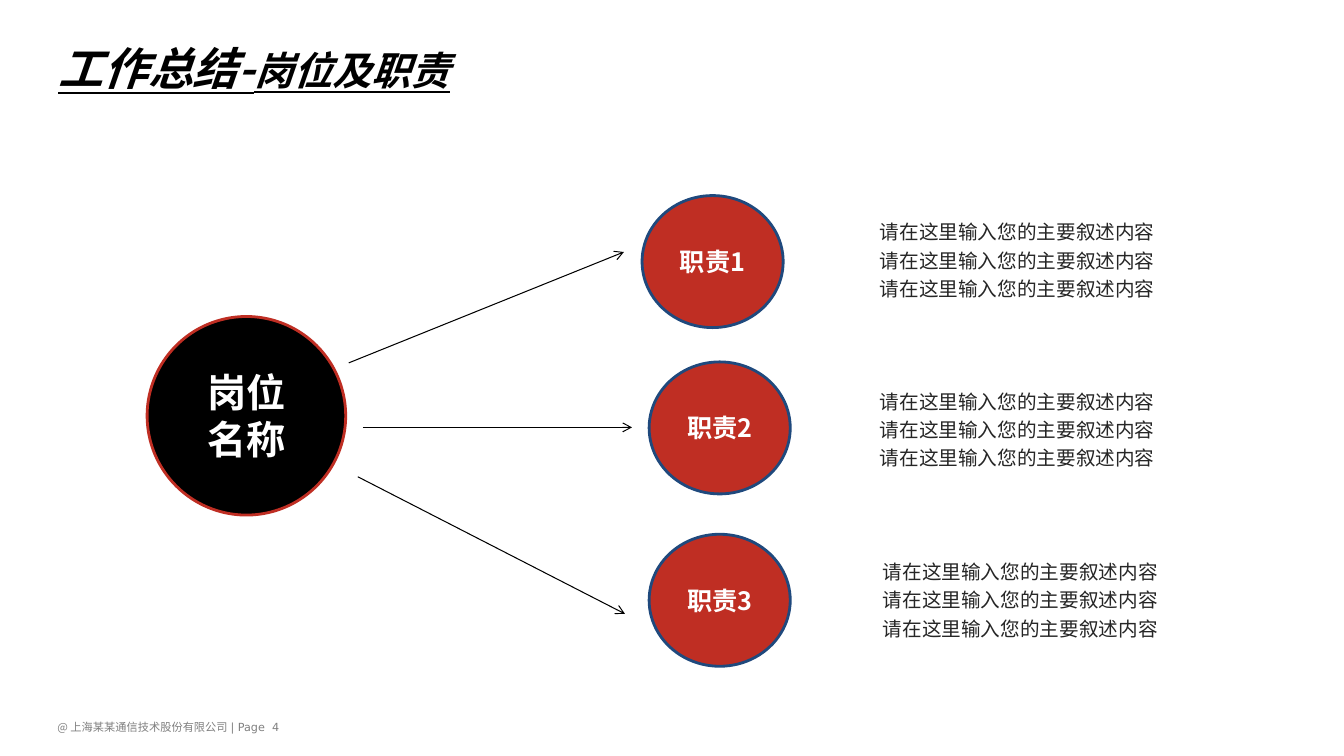
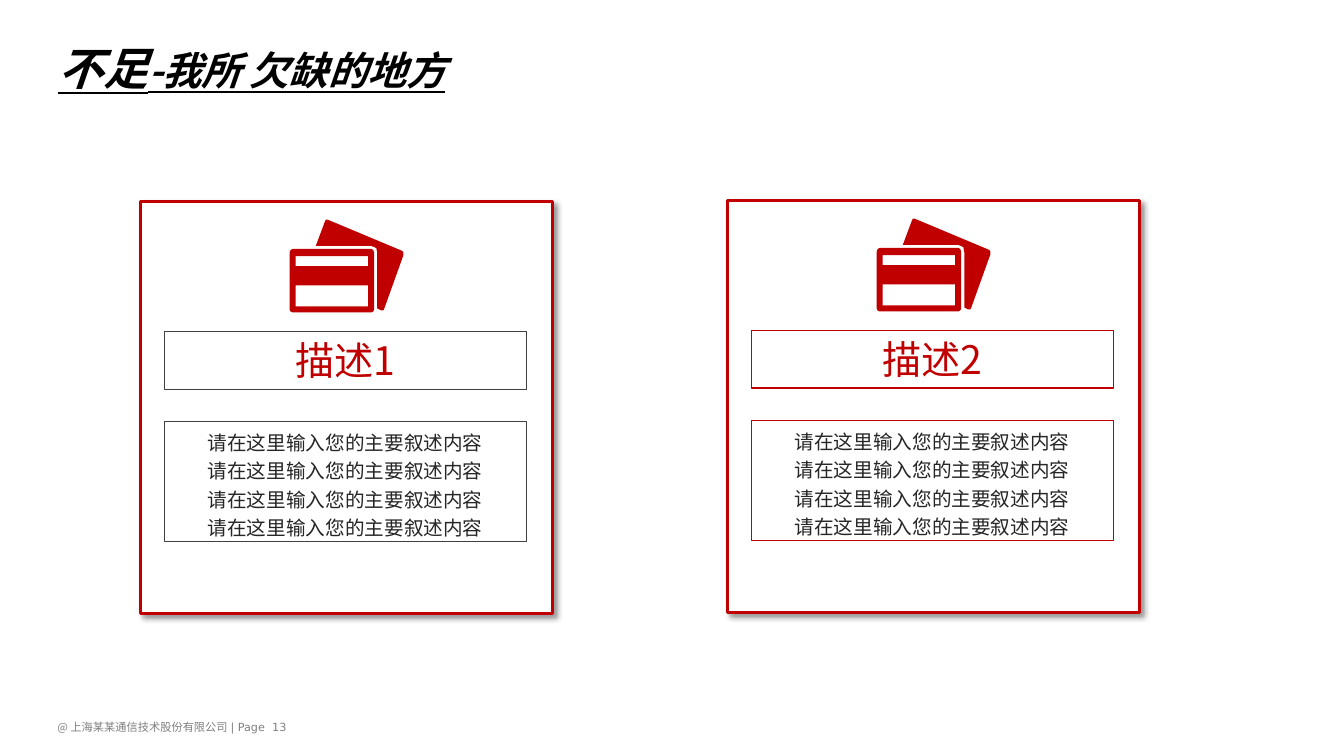
from dataclasses import dataclass

from lxml.etree import SubElement
from pptx import Presentation
from pptx.dml.color import RGBColor as RGB
from pptx.enum.shapes import MSO_AUTO_SHAPE_TYPE as Kind, MSO_CONNECTOR as Link
from pptx.enum.text import MSO_ANCHOR as Anchor, MSO_AUTO_SIZE as Fit, PP_ALIGN as Align
from pptx.oxml.ns import qn
from pptx.util import Inches, Pt


@dataclass(frozen=True)
class Theme:
    cjk: str = "Noto Sans CJK SC"
    latin: str = "DejaVu Sans"
    black: str = "000000"
    white: str = "FFFFFF"
    ink: str = "262626"
    frame: str = "404040"
    gray: str = "808080"
    brick: str = "BF2E23"
    red: str = "C00000"
    navy: str = "1F497D"
    title: int = 32
    heading: int = 28
    label: int = 18
    body: int = 14
    footer: int = 8
    thick: float = 2
    thin: float = 0.75


T = Theme()
CELL = Inches(1) // 6
COLS, ROWS = 80, 45
COMPANY = "@ 上海某某通信技术股份有限公司 "
DETAIL = "请在这里输入您的主要叙述内容"

CARD_ICON = [
    [(6, 65), (6, 86), (78, 86), (78, 65)],
    [(6, 36), (6, 46), (78, 46), (78, 36)],
    [(3, 29), (81, 29), (83, 30), (84, 33), (84, 89), (83, 91),
     (81, 92), (3, 92), (1, 91), (0, 89), (0, 33), (1, 30)],
    [(38, 0), (112, 31), (113, 33), (113, 35), (94, 88), (93, 90), (91, 90),
     (87, 88), (87, 33), (86, 28), (81, 26), (26, 26), (35, 2), (36, 0)],
]


def grid(*cells):
    return [round(c * CELL) for c in cells]


def run(text, size, color, font=T.cjk, **fmt):
    return text, color, dict(size=Pt(size), name=font, **fmt)


class Deck:
    def __init__(self):
        self.prs = Presentation()
        self.prs.slide_width, self.prs.slide_height = grid(COLS, ROWS)
        self.s = None

    def slide(self, page, *title):
        self.s = self.prs.slides.add_slide(self.prs.slide_layouts[6])
        self.text((2.82, 42.6, 33.1, 3.66), [[
            run(COMPANY, T.footer, T.gray),
            run("| Page", T.footer, T.gray, T.latin)]])
        self.text((15.42, 42.48, 4.86, 2.4),
                  [[run(str(page), T.footer, T.gray, T.latin)]], inset=(0.13, 0.07))
        style = dict(bold=True, italic=True, underline=True)
        self.text((2.76, 3.12, 72.6, 1.86),
                  [[run(t, size, T.black, **style) for t, size in title]],
                  inset=(0.12, 0.06), vertical_anchor=Anchor.MIDDLE)

    def fill_text(self, sp, paras, align=Align.LEFT, spacing=None, inset=(0.1, 0.05), **frame):
        tf = sp.text_frame
        dx, dy = map(Inches, inset)
        frame = dict(dict(word_wrap=True, vertical_anchor=Anchor.TOP), **frame)
        frame.update(margin_left=dx, margin_right=dx, margin_top=dy, margin_bottom=dy)
        for key, value in frame.items():
            setattr(tf, key, value)
        for i, runs in enumerate(paras):
            p = tf.add_paragraph() if i else tf.paragraphs[0]
            p.alignment, p.line_spacing = align, spacing
            for text, color, fmt in runs:
                r = p.add_run()
                r.text = text
                for key, value in fmt.items():
                    setattr(r.font, key, value)
                r.font.color.rgb = RGB.from_string(color)
                SubElement(r._r.get_or_add_rPr(), qn("a:ea"), typeface=fmt["name"])

    def text(self, box, paras, **opts):
        self.fill_text(self.s.shapes.add_textbox(*grid(*box)), paras, **opts)

    def paint(self, sp, fill=None, line=None, width=T.thin):
        sp.shadow.inherit = False
        if fill:
            sp.fill.solid()
            sp.fill.fore_color.rgb = RGB.from_string(fill)
        else:
            sp.fill.background()
        if line:
            sp.line.color.rgb = RGB.from_string(line)
            sp.line.width = Pt(width)
        else:
            sp.line.fill.background()

    def shape(self, kind, box, paras=(), fill=None, line=None, width=T.thin, **opts):
        sp = self.s.shapes.add_shape(kind, *grid(*box))
        self.paint(sp, fill, line, width)
        self.fill_text(sp, paras, Align.CENTER, **opts)
        return sp

    def circle(self, box, lines, size, fill, line):
        self.shape(Kind.FLOWCHART_CONNECTOR, box,
                   [[run(t, size, T.white, bold=True)] for t in lines],
                   fill, line, T.thick, vertical_anchor=Anchor.MIDDLE)

    def arrow(self, start, end):
        cx = self.s.shapes.add_connector(Link.STRAIGHT, *grid(*start, *end))
        cx.line.color.rgb = RGB.from_string(T.black)
        cx.line.width = Pt(T.thin)
        pr = cx._element.spPr
        SubElement(pr.find(qn("a:ln")), qn("a:tailEnd"), type="arrow")
        SubElement(pr, qn("a:effectLst"))

    def drop_shadow(self, sp):
        effects = sp._element.spPr.find(qn("a:effectLst"))
        shadow = SubElement(effects, qn("a:outerShdw"), blurRad=str(Pt(4)), dist=str(Pt(3)),
                            dir=str(45 * 60000), algn="tl", rotWithShape="0")
        color = SubElement(shadow, qn("a:srgbClr"), val=T.black)
        SubElement(color, qn("a:alpha"), val="40000")

    def icon(self, x, y):
        first, *rest = CARD_ICON
        fb = self.s.shapes.build_freeform(*first[0], scale=CELL * 0.06)
        fb.add_line_segments(first[1:])
        for outline in rest:
            fb.move_to(*outline[0])
            fb.add_line_segments(outline[1:])
        self.paint(fb.convert_to_shape(*grid(x, y)), T.red)

    def details(self, count):
        return [[run(DETAIL, T.body, T.ink)]] * count

    def card(self, x, y, title, frame):
        self.drop_shadow(self.shape(Kind.RECTANGLE, (x, y, 24.54, 24.54),
                                    fill=T.white, line=T.red, width=T.thick))
        grow = dict(line=frame, auto_size=Fit.SHAPE_TO_FIT_TEXT)
        self.shape(Kind.RECTANGLE, (x + 1.42, y + 7.74, 21.54, 3.42),
                   [[run(title, T.heading, T.red)]], **grow)
        self.shape(Kind.RECTANGLE, (x + 1.42, y + 13.08, 21.54, 7.14),
                   self.details(4), spacing=1.2, **grow)
        self.icon(x + 8.88, y + 1.08)


def main():
    d = Deck()

    d.slide(4, ("工作总结-", T.title), ("岗位及职责", T.heading))
    d.circle((8.76, 18.84, 11.82, 11.82), ["岗位", "名称"], T.heading, T.black, T.brick)
    duties = [
        ((38.22, 11.64), (51.78, 12.54), (20.76, 21.6), (37.14, 15)),
        ((38.64, 21.54), (51.78, 22.62), (21.6, 25.44), (37.62, 25.44)),
        ((38.64, 31.8), (51.96, 32.76), (21.3, 28.38), (37.2, 36.54)),
    ]
    for n, (spot, note, start, end) in enumerate(duties, 1):
        d.arrow(start, end)
        d.circle((*spot, 8.4, 7.86), [f"职责{n}"], T.label, T.brick, T.navy)
        d.text((*note, 21.24, 5.46), d.details(3), spacing=1.2,
               auto_size=Fit.SHAPE_TO_FIT_TEXT)

    d.slide(13, ("不足", T.title), ("-我所 欠缺的地方", T.heading))
    d.card(8.36, 12, "描述1", T.frame)
    d.card(43.3, 11.94, "描述2", T.red)

    d.prs.save("out.pptx")


if __name__ == "__main__":
    main()
